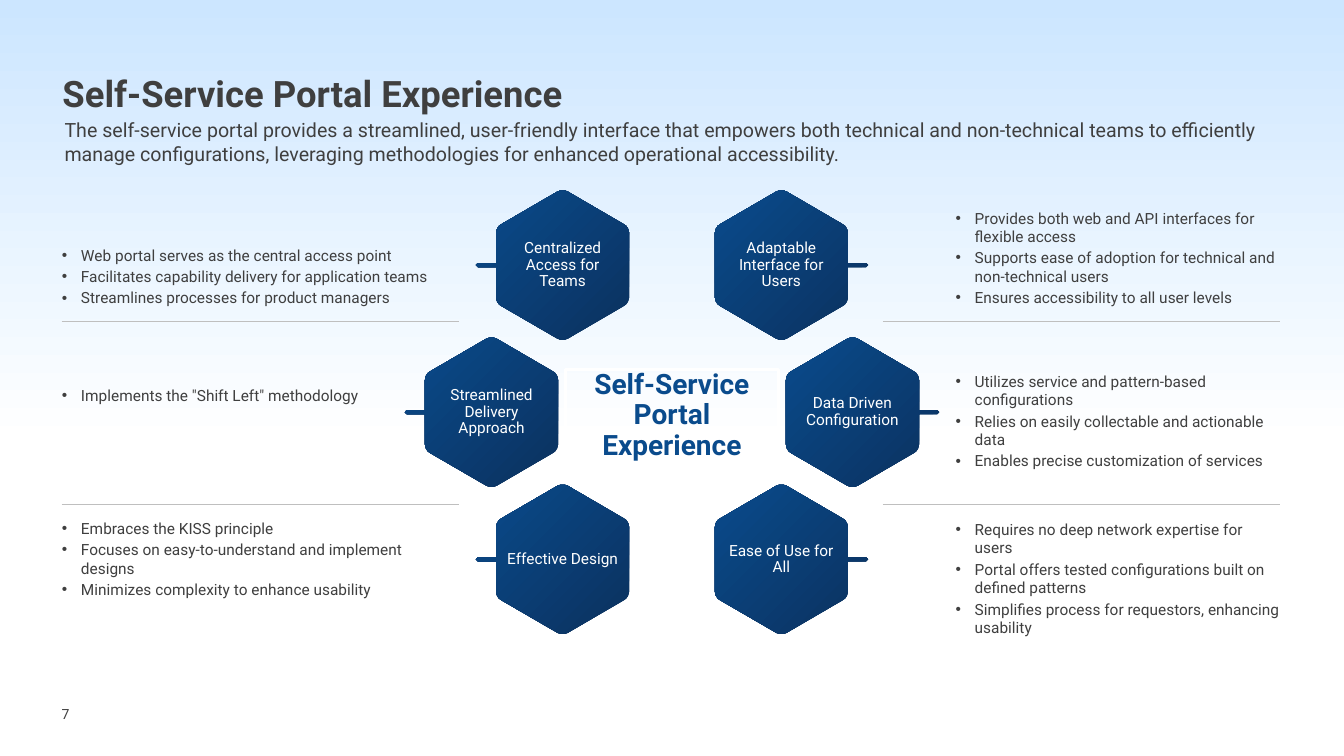
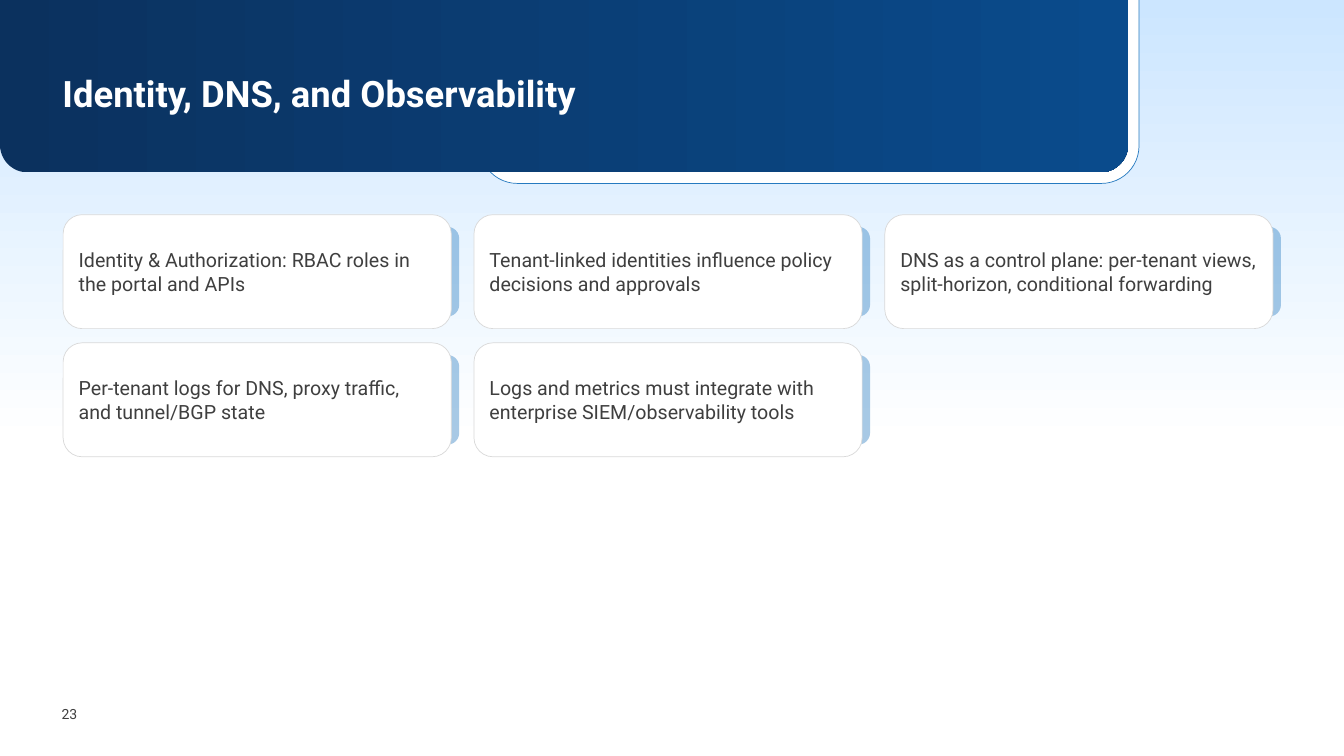
from lxml.etree import SubElement
from pptx import Presentation
from pptx.dml.color import RGBColor
from pptx.enum.shapes import MSO_CONNECTOR, MSO_SHAPE as Kind
from pptx.enum.text import MSO_ANCHOR as Anchor, PP_ALIGN as Align
from pptx.oxml.ns import qn
from pptx.util import Inches, Pt

FONT = "Roboto"
INK = RGBColor(0x3F, 0x3F, 0x3F)
WHITE = RGBColor(0xFF, 0xFF, 0xFF)
SKY = RGBColor(0xCC, 0xE6, 0xFF)
BLUE = RGBColor(0x0A, 0x4B, 0x8C)
NAVY = RGBColor(0x0B, 0x31, 0x5E)
ACCENT = RGBColor(0x26, 0x7A, 0xC0)
RULE = RGBColor(0xBF, 0xBF, 0xBF)
EDGE = RGBColor(0xD9, 0xD9, 0xD9)

deck = Presentation()
deck.slide_width, deck.slide_height = Inches(13.33), Inches(7.5)
# One column or row is a hundredth of the slide
COL, ROW = deck.slide_width / 100, deck.slide_height / 100


def add_box(page, kind, left, top, width, height, fill=None, line=None, weight=0.5, angle=0):
    """Add a shape, or a text box if kind is None; a pair of fills is a gradient."""
    area = [int(left * COL), int(top * ROW), int(width * COL), int(height * ROW)]
    if kind is None:
        return page.shapes.add_textbox(*area)
    box = page.shapes.add_shape(kind, *area)
    box.shadow.inherit = False
    if isinstance(fill, list):
        box.fill.gradient()
        box.fill.gradient_angle = angle
        for stop, color in zip(box.fill.gradient_stops, fill):
            stop.color.rgb = color
    elif fill is None:
        box.fill.background()
    else:
        box.fill.solid()
        box.fill.fore_color.rgb = fill
    if line is None:
        box.line.fill.background()
    else:
        box.line.color.rgb = line
        box.line.width = Pt(weight)
    return box


def write(box, lines, size, color=INK, bold=False, align=Align.LEFT, anchor=Anchor.TOP,
          margins=(0, 0, 0, 0), spacing=1.0, after=0, bullet=False):
    frame = box.text_frame
    frame.word_wrap = True
    frame.vertical_anchor = anchor
    (frame.margin_left, frame.margin_top,
     frame.margin_right, frame.margin_bottom) = [Inches(margin) for margin in margins]
    for index, line in enumerate(lines):
        para = frame.add_paragraph() if index else frame.paragraphs[0]
        if bullet:
            props = para._p.get_or_add_pPr()
            props.set("marL", str(Inches(0.19)))
            props.set("indent", str(-Inches(0.19)))
            SubElement(props, qn("a:buFont")).set("typeface", "Arial")
            SubElement(props, qn("a:buChar")).set("char", "•")
        para.alignment = align
        para.line_spacing = spacing
        para.space_after = Pt(after)
        span = para.add_run()
        span.text = line
        span.font.name, span.font.size = FONT, Pt(size)
        span.font.bold, span.font.color.rgb = bold, color


# Shared frame: sky, optional band, page number, title
pages = []
for number, title, banded in [("7", "Self-Service Portal Experience", False),
                              ("23", "Identity, DNS, and Observability", True)]:
    page = deck.slides.add_slide(deck.slide_layouts[6])
    add_box(page, Kind.RECTANGLE, 0, 0, 100, 58.67, [SKY, WHITE], angle=270)
    write(add_box(page, None, 4.58, 92.8, 2.93, 3.33), [number], 10, anchor=Anchor.MIDDLE)
    if banded:
        outline = add_box(page, Kind.ROUND_2_SAME_RECTANGLE, 35.7, -0.53, 49.05, 24.8,
                          WHITE, ACCENT)
        band = add_box(page, Kind.ROUND_2_SAME_RECTANGLE, 0, 0, 83.93, 22.8, [NAVY, BLUE])
        for shape, rounding in [(outline, 0.2), (band, 0.16)]:
            shape.adjustments[0], shape.adjustments[1] = 0, rounding
    write(add_box(page, None, 4.65, 10, 80, 5.2), [title], 26,
          WHITE if banded else INK, bold=True, spacing=0.9)
    pages.append(page)
portal, identity = pages

# Portal: introduction and centre label
write(add_box(portal, None, 4.8, 15.9, 92.1, 5.6),
      ["The self-service portal provides a streamlined, user-friendly interface that empowers "
       "both technical and non-technical teams to efficiently manage configurations, "
       "leveraging methodologies for enhanced operational accessibility."],
      14, anchor=Anchor.MIDDLE)
write(add_box(portal, Kind.RECTANGLE, 42.1, 48.93, 15.8, 12.13, line=WHITE, weight=2),
      ["Self-Service Portal Experience"], 20, BLUE, bold=True, align=Align.CENTER,
      anchor=Anchor.MIDDLE, spacing=0.9)

# Portal: rounded hexagon outline with a tail on its right, in inches from its centre
corner = [(0.02, -0.74), (0.05, -0.73), (0.6, -0.41), (0.63, -0.39), (0.65, -0.36),
          (0.66, -0.32)]
tail = [(0.66, -0.02), (0.84, -0.02), (0.86, 0), (0.84, 0.02), (0.66, 0.02)]
right_half = corner + tail + [(x, -y) for x, y in reversed(corner)]
left_half = [(-x, -y) for x, y in corner] + [(-x, y) for x, y in reversed(corner)]
hexagon = right_half + left_half

# Portal: topics as side, row, distance from the middle, label, top of the list, points
topics = [
    (1, 0, 8.14, "Adaptable Interface for Users", 27.6,
     ["Provides both web and API interfaces for flexible access",
      "Supports ease of adoption for technical and non-technical users",
      "Ensures accessibility to all user levels"]),
    (1, 1, 13.43, "Data Driven Configuration", 49.2,
     ["Utilizes service and pattern-based configurations",
      "Relies on easily collectable and actionable data",
      "Enables precise customization of services"]),
    (1, 2, 8.14, "Ease of Use for All", 68.8,
     ["Requires no deep network expertise for users",
      "Portal offers tested configurations built on defined patterns",
      "Simplifies process for requestors, enhancing usability"]),
    (-1, 0, 8.14, "Centralized Access for Teams", 32.53,
     ["Web portal serves as the central access point",
      "Facilitates capability delivery for application teams",
      "Streamlines processes for product managers"]),
    (-1, 1, 13.43, "Streamlined Delivery Approach", 51.07,
     ['Implements the "Shift Left" methodology']),
    (-1, 2, 8.14, "Effective Design", 68.67,
     ["Embraces the KISS principle",
      "Focuses on easy-to-understand and implement designs",
      "Minimizes complexity to enhance usability"]),
]
for side, row, distance, label, top, points in topics:
    left, width = (71.1, 24.3) if side > 0 else (4.6, 28.9)
    write(add_box(portal, None, left, top, width, 8), points, 11, after=2, bullet=True)

    center_x = (50 + side * distance) * COL
    center_y = (35.07 + 19.46 * row) * ROW
    outline = [(center_x + side * Inches(x), center_y + Inches(y)) for x, y in hexagon]
    builder = portal.shapes.build_freeform(*outline[0])
    builder.add_line_segments(outline[1:], close=True)
    shape = builder.convert_to_shape()
    shape.shadow.inherit = False
    shape.line.fill.background()
    shape.fill.gradient()
    for stop, color in zip(shape.fill.gradient_stops, [BLUE, NAVY]):
        stop.color.rgb = color
    # Circular gradient that spreads from the top left corner
    linear = shape._element.spPr.find(".//" + qn("a:lin"))
    gradient = linear.getparent()
    gradient.remove(linear)
    circle = SubElement(gradient, qn("a:path"))
    circle.set("path", "circle")
    focus = SubElement(circle, qn("a:fillToRect"))
    focus.set("r", "100000")
    focus.set("b", "100000")
    write(shape, [label], 11, WHITE, align=Align.CENTER, anchor=Anchor.MIDDLE, spacing=0.9,
          margins=(0.1, 0.05, 0.3, 0.05) if side > 0 else (0.3, 0.05, 0.1, 0.05))

# Portal: rules between the rows
for start in (4.58, 65.7):
    for height in (42.53, 66.67):
        rule = portal.shapes.add_connector(
            MSO_CONNECTOR.STRAIGHT, int(start * COL), int(height * ROW),
            int((start + 29.55) * COL), int(height * ROW))
        rule.line.color.rgb = RULE
        rule.line.width = Pt(0.5)
        SubElement(rule._element.spPr, qn("a:effectLst"))

# Identity: cards in three columns, each with a translucent tab behind
cards = [
    "Identity & Authorization: RBAC roles in the portal and APIs",
    "Tenant-linked identities influence policy decisions and approvals",
    "DNS as a control plane: per-tenant views, split-horizon, conditional forwarding",
    "Per-tenant logs for DNS, proxy traffic, and tunnel/BGP state",
    "Logs and metrics must integrate with enterprise SIEM/observability tools",
]
for index, text in enumerate(cards):
    row, column = divmod(index, 3)
    left, top = 4.7 + 30.57 * column, 28.4 + 16.95 * row
    tab = add_box(identity, Kind.ROUNDED_RECTANGLE, left + 24.22, top + 1.6, 5.25, 11.87, ACCENT)
    tint = tab._element.spPr.find(".//" + qn("a:srgbClr"))
    SubElement(tint, qn("a:alpha")).set("val", "40000")
    card = add_box(identity, Kind.ROUNDED_RECTANGLE, left, top, 28.88, 15.07, WHITE, EDGE)
    write(card, [text], 14, anchor=Anchor.MIDDLE, margins=(0.1, 0.1, 0.1, 0.1))

deck.save("out.pptx")
